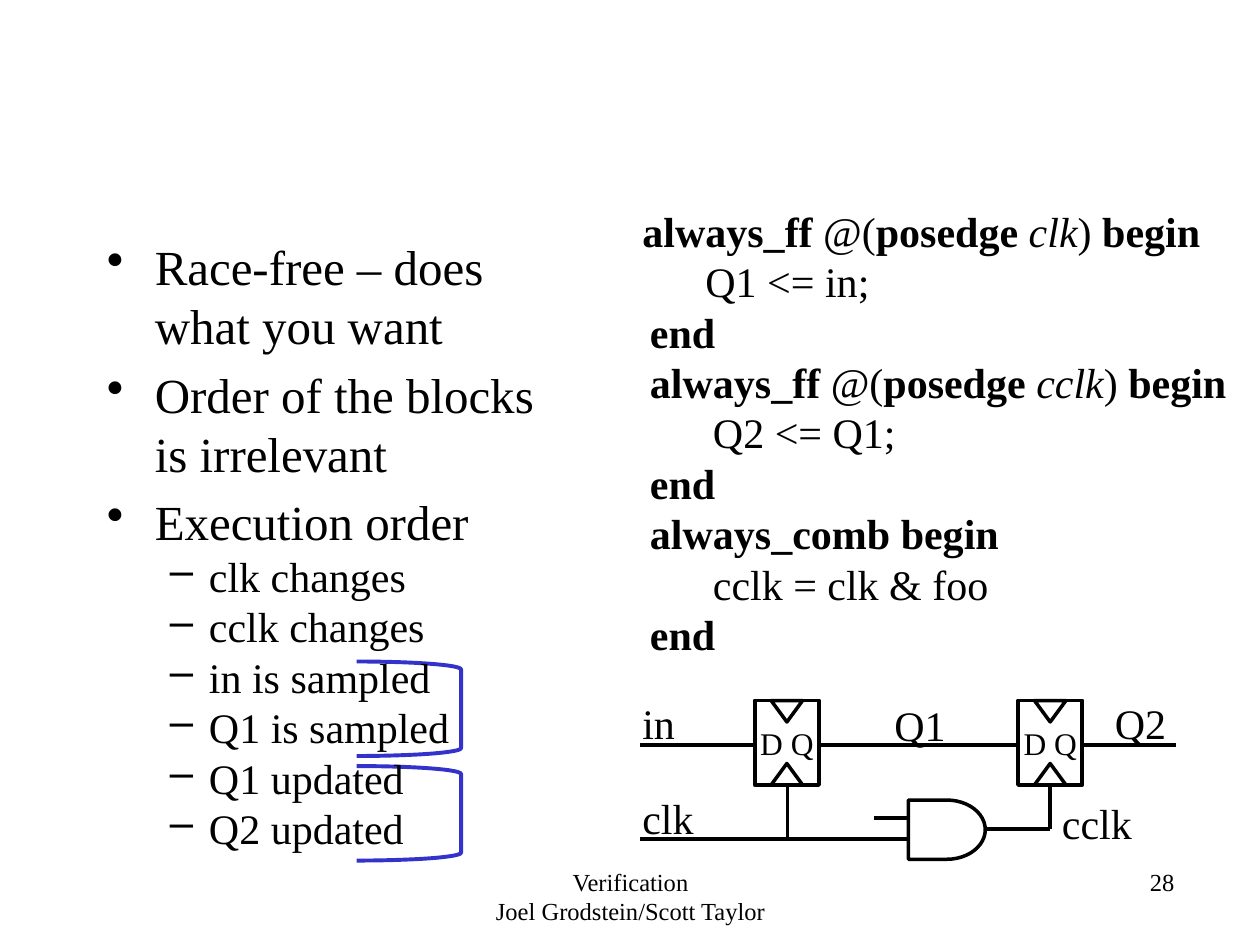
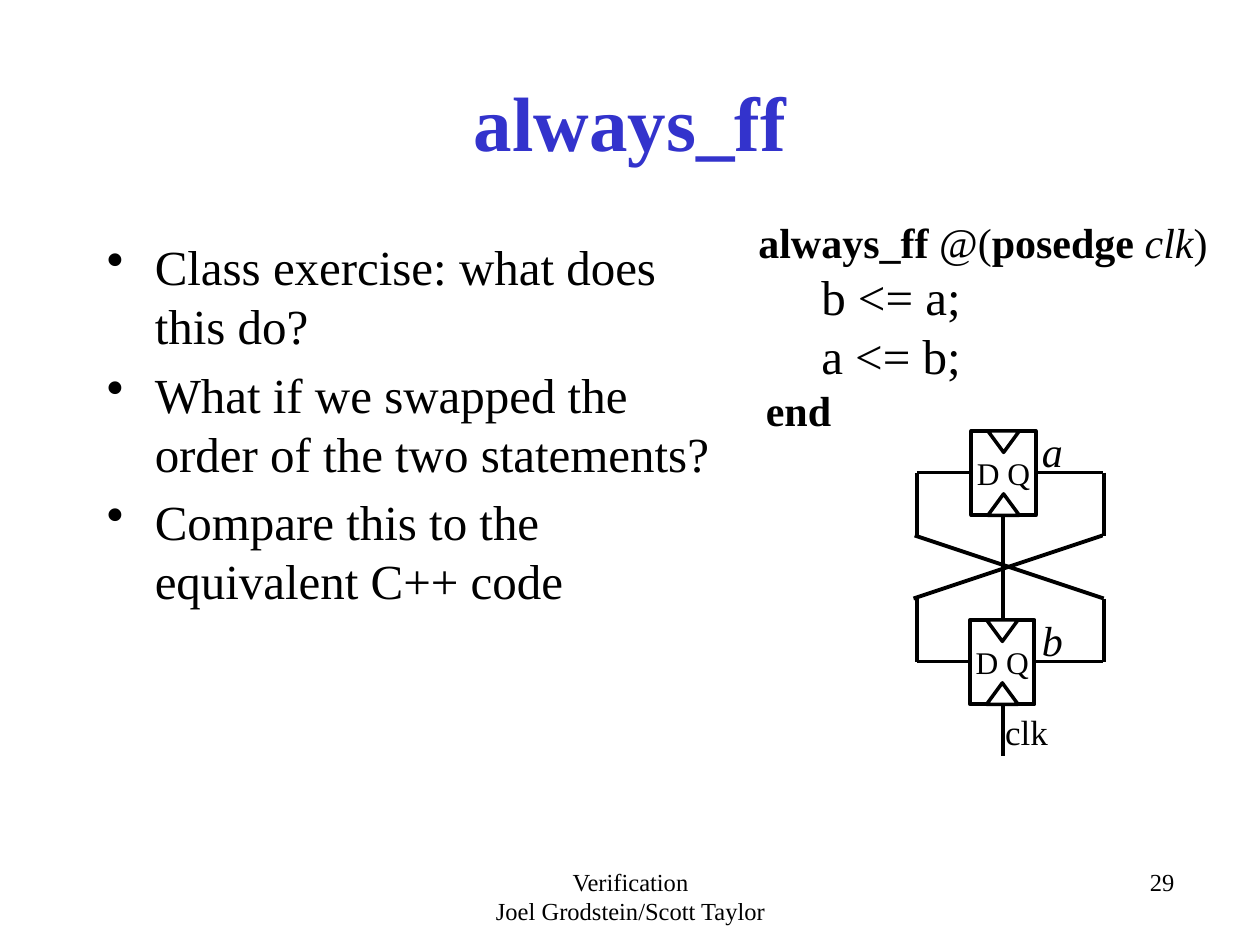
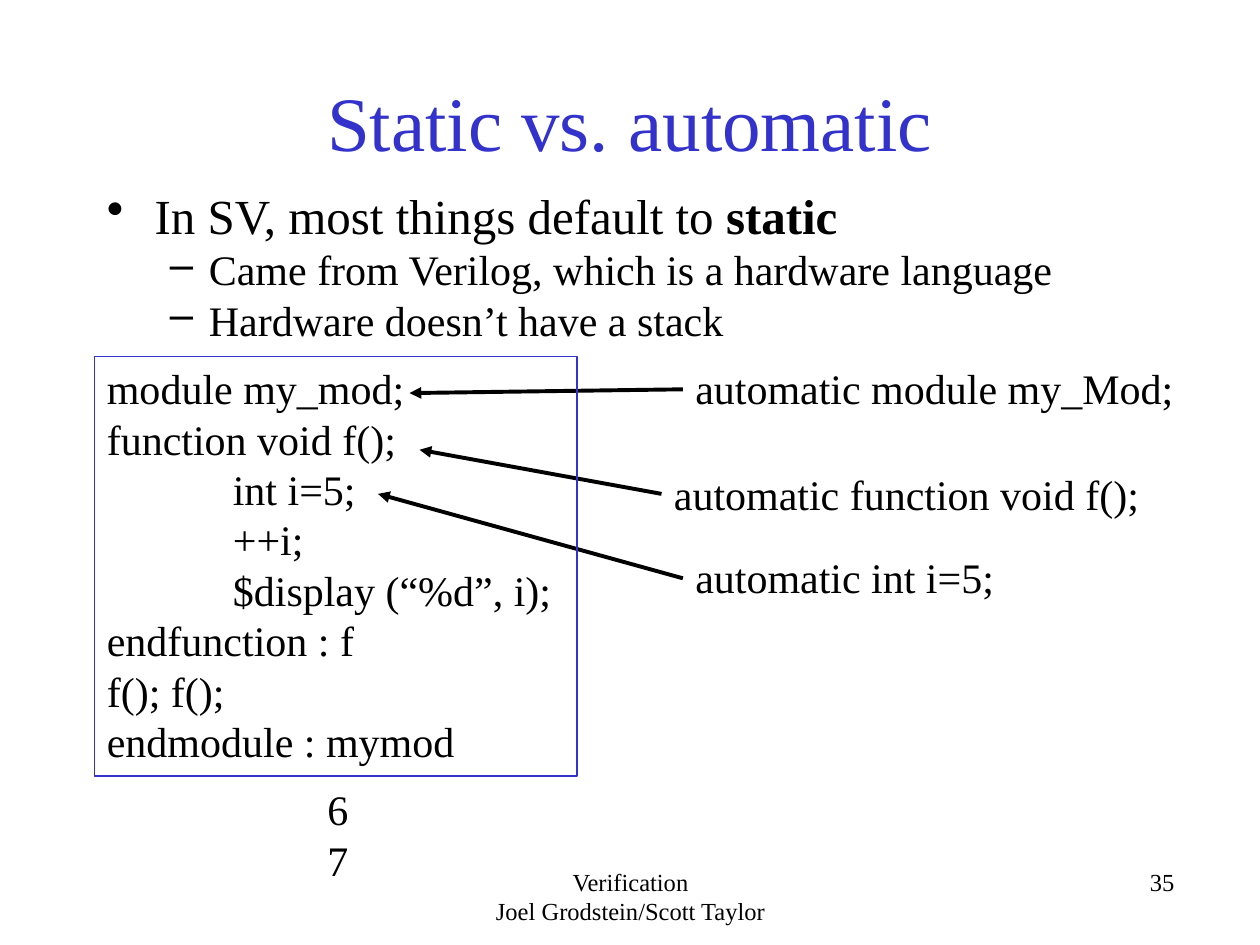
import pptx
import pptx.util
import pptx.dml.color
import pptx.enum.shapes
import pptx.enum.text
import pptx.oxml.ns
import lxml.etree

Inches, Pt = pptx.util.Inches, pptx.util.Pt
Shape = pptx.enum.shapes.MSO_SHAPE
Align = pptx.enum.text.PP_ALIGN
Anchor = pptx.enum.text.MSO_ANCHOR
qn = pptx.oxml.ns.qn
rgb = pptx.dml.color.RGBColor.from_string

# Shared look
face = "Times New Roman"
hues = {"ink": "000000", "blue": "3333CC", "white": "FFFFFF"}

# Paragraph styles: left indent, first line, size, bullet, space before
looks = {
    "dot": (0.38, -0.38, 28, "•", 5.6),
    "dash": (0.81, -0.31, 24, "–", 0),
    "flush": (0, 0, 24, "", 0),
    "end": (0.06, 0, 24, "", 0),
    "step": (0.5, 0, 24, "", 0),
    "deep": (0.56, 0, 24, "", 0),
    "big": (0.5, 0, 28, "", 0),
    "tab": (1, 0, 24, "", 0),
    "clock": (0, 0, 20, "", 0),
    "pin": (0, 0, 18, "", 0),
    "foot": (0, 0, 14, "", 0),
}


def write(frame, lines, align=Align.LEFT):
    """Fill a frame with (look, text) lines; text may be a list of (text, style)."""
    frame.word_wrap = True
    for num, (look, text) in enumerate(lines):
        para = frame.add_paragraph() if num else frame.paragraphs[0]
        left, first, size, mark, gap = looks[look]
        para.alignment = align
        para.space_before = Pt(gap if num else 0)
        props = para._p.get_or_add_pPr()
        props.set("marL", str(Inches(left)))
        props.set("indent", str(Inches(first)))
        if mark:
            lxml.etree.SubElement(props, qn("a:buChar")).set("char", mark)
        para.font.name = face
        para.font.size = Pt(size)
        para.font.color.rgb = rgb(hues["ink"])
        runs = [(text, "")] if isinstance(text, str) else text
        for words, style in runs:
            run = para.add_run()
            run.text = words
            font = para.font if len(runs) == 1 else run.font
            if style:
                font.bold = style == "b"
                font.italic = style == "i"


def place(slide, box, lines, align=Align.LEFT):
    """Add a text box at (left, top, width, height) in inches."""
    area = slide.shapes.add_textbox(*map(Inches, box))
    write(area.text_frame, lines, align)


# First slide: two flops with a gated clock
race = {
    "page": "28",
    "texts": [
        ((0.75, 1.83, 3.59, 5), [
            ("dot", "Race-free – does what you want"),
            ("dot", "Order of the blocks is irrelevant"),
            ("dot", "Execution order"),
            ("dash", "clk changes"),
            ("dash", "cclk changes"),
            ("dash", "in is sampled"),
            ("dash", "Q1 is sampled"),
            ("dash", "Q1 updated"),
            ("dash", "Q2 updated")]),
        ((5, 1.58, 4.92, 4.14), [
            ("flush", [("always_ff ", "b"), ("@(", ""), ("posedge ", "b"),
                       ("clk", "i"), (")", ""), (" begin", "b")]),
            ("step", "Q1 <= in;"),
            ("end", [("end", "b")]),
            ("end", [("always_ff ", "b"), ("@(", ""), ("posedge ", "b"),
                     ("cclk", "i"), (")", ""), (" begin", "b")]),
            ("deep", "Q2 <= Q1;"),
            ("end", [("end", "b")]),
            ("end", [("always_comb begin", "b")]),
            ("deep", "cclk = clk & foo"),
            ("end", [("end", "b")])]),
        ((5, 5.49, 0.67, 0.5), [("flush", "in")]),
        ((7, 5.5, 0.67, 0.5), [("flush", "Q1")]),
        ((8.75, 5.49, 0.67, 0.5), [("flush", "Q2")]),
        ((5, 6.24, 0.67, 0.5), [("flush", "clk")]),
        ((8.33, 6.28, 0.83, 0.5), [("flush", "cclk")]),
    ],
    "wires": [
        (5.08, 5.91, 9.33, 5.91),
        (5.08, 6.66, 7.21, 6.66),
        (6.25, 6.23, 6.25, 6.66),
        (8.33, 6.23, 8.33, 6.58),
        (6.94, 6.49, 7.21, 6.49, 2.5),
        (7.82, 6.58, 8.33, 6.58, 2.5),
    ],
    "flops": [(5.99, 5.56), (8.08, 5.56)],
    "forms": [(Shape.FLOWCHART_DELAY, (7.21, 6.35, 0.61, 0.47), "ink", 2, "white")]
    + [(Shape.RIGHT_BRACKET, (2.83, y, 0.83, 0.75), "blue", 2.25, None)
       for y in (5.25, 6.08)],
}

# Second slide: two flops that swap values
swap = {
    "page": "29",
    "title": "always_ff",
    "bold": True,
    "texts": [
        ((0.75, 1.83, 5.08, 3.42), [
            ("dot", "Class exercise: what does this do?"),
            ("dot", "What if we swapped the order of the two statements?"),
            ("dot", "Compare this to the equivalent C++ code")]),
        ((5.92, 1.67, 3.92, 2.26), [
            ("flush", [("always_ff ", "b"), ("@(", ""), ("posedge ", "b"),
                       ("clk", "i"), (")", "")]),
            ("big", "b <= a;"),
            ("big", "a <= b;"),
            ("end", [("end", "b")])]),
        ((7.88, 5.59, 0.67, 0.44), [("clock", "clk")]),
        ((8.17, 3.33, 0.58, 0.5), [("flush", [("a", "i")])]),
        ((8.17, 4.83, 0.58, 0.5), [("flush", [("b", "i")])]),
    ],
    "wires": [(7.96, 3.58, 7.96, 6),
              (8.75, 4.25, 7.25, 4.75),
              (8.76, 4.75, 7.26, 4.25)]
    + [(x, y, x + 0.54, y) for x in (7.28, 8.21) for y in (3.75, 5.25)]
    + [(x, y, x, y + 0.5) for x in (7.28, 8.76) for y in (3.75, 4.75)],
    "flops": [(7.71, 3.42), (7.7, 4.92)],
}

# Third slide: code in a frame, with arrows from the variants
modes = {
    "page": "35",
    "title": "Static vs. automatic",
    "texts": [
        ((0.75, 1.42, 8.5, 1.5), [
            ("dot", [("In SV, most things default to ", ""), ("static", "b")]),
            ("dash", "Came from Verilog, which is a hardware language"),
            ("dash", "Hardware doesn’t have a stack")]),
        ((0.75, 2.83, 3.83, 3.33), [
            ("flush", "module my_mod;"),
            ("flush", "function void f();"),
            ("tab", "int i=5;"),
            ("tab", "++i;"),
            ("tab", "$display (“%d”, i);"),
            ("flush", "endfunction : f"),
            ("flush", "f(); f();"),
            ("flush", "endmodule : mymod")]),
        ((2.5, 6.17, 0.5, 0.91), [("flush", "6"), ("flush", "7")]),
        ((5.42, 2.83, 4.08, 0.5), [("flush", "automatic module my_Mod;")]),
        ((5.25, 3.67, 4.08, 0.5), [("flush", "automatic function void f();")]),
        ((5.42, 4.33, 2.67, 0.5), [("flush", "automatic int i=5;")]),
    ],
    "forms": [(Shape.RECTANGLE, (0.75, 2.83, 3.83, 3.33), "blue", 1, None)],
    "wires": [(5.42, 3.09, 3.25, 3.12),
              (5.25, 3.92, 3.33, 3.57),
              (5.42, 4.59, 3, 3.92)],
    "heads": True,
}

deck = pptx.Presentation()
deck.slide_width, deck.slide_height = Inches(10), Inches(7.5)

for plan in (race, swap, modes):
    # Title
    slide = deck.slides.add_slide(deck.slide_layouts[5 if "title" in plan else 6])
    if "title" in plan:
        title = slide.shapes.title
        title.left, title.top = Inches(0.75), Inches(0.33)
        title.width, title.height = Inches(8.5), Inches(1.25)
        title.text_frame.vertical_anchor = Anchor.MIDDLE
        para = title.text_frame.paragraphs[0]
        para.text = plan["title"]
        para.alignment = Align.CENTER
        para.font.name = face
        para.font.size = Pt(44)
        para.font.bold = plan.get("bold", False)
        para.font.color.rgb = rgb(hues["blue"])

    # Footer and page number
    place(slide, (3.42, 6.83, 3.17, 0.5),
          [("foot", "Verification"), ("foot", "Joel Grodstein/Scott Taylor")],
          Align.CENTER)
    place(slide, (6.25, 6.83, 3.17, 0.5), [("foot", plan["page"])], Align.RIGHT)

    # Wires and arrows
    for x1, y1, x2, y2, *width in plan["wires"]:
        wire = slide.shapes.add_connector(
            pptx.enum.shapes.MSO_CONNECTOR.STRAIGHT,
            Inches(x1), Inches(y1), Inches(x2), Inches(y2))
        wire.line.color.rgb = rgb(hues["ink"])
        wire.line.width = Pt(width[0] if width else 2.25)
        if plan.get("heads"):
            edge = wire.line._get_or_add_ln()
            lxml.etree.SubElement(edge, qn("a:tailEnd")).set("type", "triangle")
        lxml.etree.SubElement(wire._element.spPr, qn("a:effectLst"))

    # Flops (a body and two clock marks each) and other outlines
    forms = list(plan.get("forms", []))
    for x, y in plan.get("flops", []):
        forms += [
            (Shape.RECTANGLE, (x, y, 0.51, 0.67), "ink", 2.25, "white", "D Q"),
            (Shape.ISOSCELES_TRIANGLE, (x + 0.13, y + 0.5, 0.25, 0.17), "ink", 2, "white"),
            (Shape.ISOSCELES_TRIANGLE, (x + 0.13, y, 0.25, 0.17), "ink", 2, "white", "", 180)]
    for kind, box, edge, width, fill, *rest in forms:
        form = slide.shapes.add_shape(kind, *map(Inches, box))
        form.shadow.inherit = False
        form.line.color.rgb = rgb(hues[edge])
        form.line.width = Pt(width)
        if fill:
            form.fill.solid()
            form.fill.fore_color.rgb = rgb(hues[fill])
        else:
            form.fill.background()
        if rest and rest[0]:
            frame = form.text_frame
            frame.margin_left = frame.margin_right = 0
            frame.margin_top = frame.margin_bottom = 0
            frame.vertical_anchor = Anchor.MIDDLE
            write(frame, [("pin", rest[0])], Align.CENTER)
        if len(rest) > 1:
            form.rotation = rest[1]

    # Bullets, code and labels
    for box, lines in plan["texts"]:
        place(slide, box, lines)

deck.save("out.pptx")
